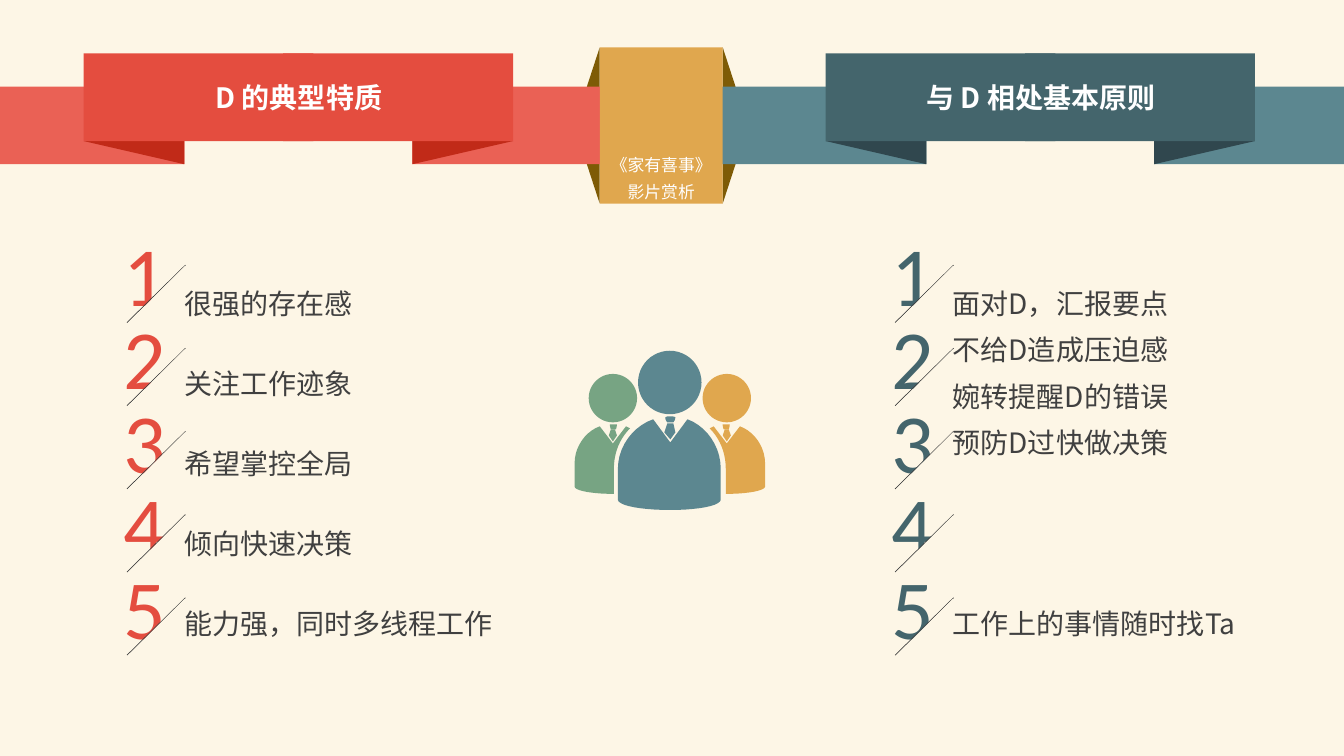
"""Build a slide on the traits of type D and how to work with them."""
from dataclasses import dataclass

from lxml import etree
from pptx import Presentation
from pptx.dml.color import RGBColor
from pptx.enum.shapes import MSO_CONNECTOR, MSO_SHAPE
from pptx.enum.text import MSO_ANCHOR, MSO_AUTO_SIZE, PP_ALIGN
from pptx.oxml.ns import qn
from pptx.util import Inches, Pt

RECT = MSO_SHAPE.RECTANGLE
FOLD = MSO_SHAPE.RIGHT_TRIANGLE
OVAL = MSO_SHAPE.OVAL
STRAIGHT = MSO_CONNECTOR.STRAIGHT
TOP = MSO_ANCHOR.TOP
NO_FIT = MSO_AUTO_SIZE.NONE
LEFT, CENTER = PP_ALIGN.LEFT, PP_ALIGN.CENTER

COLORS = {
    "cream": "FDF6E6", "gold": "E0A74E", "brown": "7E5B06",
    "red": "E44D3F", "coral": "EA6155", "crimson": "C12A18",
    "slate": "44656C", "teal": "5C8790", "navy": "30474E",
    "green": "77A483", "ink": "404040", "white": "FFFFFF",
}
CJK, LATIN = "Noto Sans CJK SC", "Calibri"
CELL = Inches(0.1)
COLUMNS, ROWS = 133.33, 75
COMPARISON_LAYOUT = 4
NUMBER_PITCH, ITEM_PITCH = 8.25, 7.93
LIST_TOP, LIST_LINE = 27.9, 24
ITEM_PITCH_POINTS = ITEM_PITCH * 7.2
MIRROR = 132.9
CURVE_STEPS = 10

Outline = list[tuple[float, ...]]


@dataclass(frozen=True)
class Area:
    left: float
    top: float
    width: float
    height: float

    def emu(self) -> list[int]:
        return [round(n * CELL) for n in (self.left, self.top, self.width, self.height)]


@dataclass(frozen=True)
class TextStyle:
    size: float
    color: str
    line: float | None = None
    font: str = CJK
    bold: bool = False
    align: PP_ALIGN = LEFT
    gap: float = 0


@dataclass(frozen=True)
class Ribbon:
    left: float
    band_start: float
    band_end: float
    front: str
    band: str
    fold: str


@dataclass(frozen=True)
class Figure:
    head: Area
    coat: Outline
    knot: Outline
    tie: Outline


RIBBONS = [Ribbon(8.3, 0, 61.9, "red", "coral", "crimson"),
           Ribbon(81.9, 70.9, COLUMNS, "slate", "teal", "navy")]
NUMBER_COLUMNS = [(11.3, "red"), (87.5, "slate")]
TRAITS = ["很强的存在感", "关注工作迹象", "希望掌控全局", "倾向快速决策", "能力强，同时多线程工作"]
PRINCIPLES = ["面对D，汇报要点", "不给D造成压迫感", "婉转提醒D的错误", "预防D过快做决策"]
LAST_PRINCIPLE = ["工作上的事情随时找Ta"]

LEADER = Figure(
    Area(63.3, 34.8, 6.3, 6.3),
    [(68.2, 41.6), (66.5, 43.9), (64.8, 41.6), (62.8, 42.3, 61.3, 44.3, 61.3, 46.5),
     (61.3, 49.6), (61.4, 50.2, 63.7, 50.6, 66.5, 50.6),
     (69.2, 50.6, 71.4, 50.2, 71.5, 49.6), (71.5, 46.5),
     (71.5, 44.3, 70.1, 42.3, 68.2, 41.6)],
    [(67, 41.4), (66.8, 41.3, 66.6, 41.3, 66.5, 41.3), (66.3, 41.3, 66.2, 41.3, 66, 41.4),
     (66, 41.4, 66, 41.7, 66.2, 41.9), (66.8, 41.9), (66.8, 41.9, 67, 41.7, 67, 41.4)],
    [(66.2, 42), (66.8, 42), (67, 42.9), (66.5, 43.6), (65.9, 42.9)])
COLLEAGUE = Figure(
    Area(58.4, 37.1, 4.8, 4.8),
    [(62.1, 42.3), (60.8, 44), (59.5, 42.3), (58.1, 42.8, 57, 44.3, 57, 46), (57, 48.3),
     (57.1, 48.7, 58.8, 49, 60.8, 49), (60.9, 49), (60.9, 46.5),
     (60.9, 44.9, 61.5, 43.5, 62.5, 42.5)],
    [(61.1, 42.6), (61.1, 42.6, 61.2, 42.4, 61.2, 42.1), (60.5, 42.1),
     (60.5, 42.1, 60.5, 42.3, 60.6, 42.6)],
    [(60.8, 43.8), (61.2, 43.2), (61, 42.6), (60.6, 42.6), (60.4, 43.2)])


def rgb(name: str) -> RGBColor:
    return RGBColor.from_string(COLORS[name])


def paint(shape, color: str) -> None:
    shape.shadow.inherit = False
    shape.fill.solid()
    shape.fill.fore_color.rgb = rgb(color)
    shape.line.fill.background()


def add_block(page, kind, area: Area, color: str, flips: str = ""):
    shape = page.shapes.add_shape(kind, *area.emu())
    paint(shape, color)
    for axis in flips:
        shape._element.spPr.xfrm.set(f"flip{axis}", "1")
    return shape


def write(box, lines: list[str], style: TextStyle, wrap: bool = True) -> None:
    frame = box.text_frame
    frame.word_wrap, frame.auto_size, frame.vertical_anchor = wrap, NO_FIT, TOP
    frame.margin_left = frame.margin_right = Inches(0.1)
    frame.margin_top = frame.margin_bottom = Inches(0.05)
    for index, line in enumerate(lines):
        para = frame.add_paragraph() if index else frame.paragraphs[0]
        props = para._p.get_or_add_pPr()
        props.set("marL", "0")
        props.set("indent", "0")
        etree.SubElement(props, qn("a:buNone"))
        para.alignment = style.align
        para.space_before, para.space_after = Pt(style.gap if index else 0), Pt(0)
        if style.line:
            para.line_spacing = Pt(style.line)
        span = para.add_run()
        span.text = line
        span.font.size, span.font.bold = Pt(style.size), style.bold
        span.font.color.rgb = rgb(style.color)
        span.font.name = style.font
        etree.SubElement(span._r.get_or_add_rPr(), qn("a:ea")).set("typeface", style.font)


def fill_placeholder(page, index: int, area: Area, lines: list[str], style: TextStyle) -> None:
    box = page.placeholders[index]
    box.left, box.top, box.width, box.height = area.emu()
    page.shapes._spTree.append(box._element)
    write(box, lines, style)


def draw_ribbon(page, ribbon: Ribbon) -> None:
    right = ribbon.left + 42.6
    inner, outer = ribbon.left + 10, right - 10
    sides = [(ribbon.band_start, inner, ribbon.left, ribbon.left, "HV"),
             (outer, ribbon.band_end, outer, right - 22.8, "V")]
    for start, end, fold, front, flips in sides:
        add_block(page, RECT, Area(start, 8.6, end - start, 7.7), ribbon.band)
        add_block(page, FOLD, Area(fold, 14, 10, 2.3), ribbon.fold, flips)
        add_block(page, RECT, Area(front, 5.3, 22.8, 8.7), ribbon.front)


def draw_number(page, left: float, color: str, number: int) -> None:
    top = 21.6 + (number - 1) * NUMBER_PITCH
    box = page.shapes.add_textbox(*Area(left, top, 6.2, 11.1).emu())
    write(box, [str(number)], TextStyle(60, color, font=LATIN), wrap=False)
    ends = [round(n * CELL) for n in (left + 7.1, top + 4.7, left + 1.3, top + 10.4)]
    slash = page.shapes.add_connector(STRAIGHT, *ends)
    slash.line.color.rgb, slash.line.width = rgb("ink"), Pt(0.5)
    etree.SubElement(slash._element.spPr, qn("a:effectLst"))
    mask = add_block(page, RECT, Area(left + 3.9, top + 4.5, 2.3, 8), "cream")
    mask.line.color.rgb, mask.line.width = rgb("cream"), Pt(1)
    mask.rotation = 45


def flatten(outline: Outline) -> Outline:
    points = [outline[0]]
    for step in outline[1:]:
        if len(step) == 2:
            points.append(step)
            continue
        a, b, c, d = points[-1], step[:2], step[2:4], step[4:]
        for t in (n / CURVE_STEPS for n in range(1, CURVE_STEPS + 1)):
            s = 1 - t
            points.append(tuple(s**3 * a[k] + 3 * s * s * t * b[k] + 3 * s * t * t * c[k]
                                + t**3 * d[k] for k in (0, 1)))
    return points


def draw_figure(page, figure: Figure, color: str, mirrored: bool = False) -> None:
    head = figure.head
    left = MIRROR - head.left - head.width if mirrored else head.left
    add_block(page, OVAL, Area(left, head.top, head.width, head.height), color)
    for outline in (figure.coat, figure.knot, figure.tie):
        points = [(round((MIRROR - x if mirrored else x) * CELL), round(y * CELL))
                  for x, y in flatten(outline)]
        builder = page.shapes.build_freeform(*points[0])
        builder.add_line_segments(points[1:], close=True)
        paint(builder.convert_to_shape(), color)


def main() -> None:
    deck = Presentation()
    deck.slide_width, deck.slide_height = round(COLUMNS * CELL), ROWS * CELL
    page = deck.slides.add_slide(deck.slide_layouts[COMPARISON_LAYOUT])
    page.background.fill.solid()
    page.background.fill.fore_color.rgb = rgb("cream")

    for left, flip in ((58.1, "H"), (71.7, "")):
        add_block(page, FOLD, Area(left, 4.7, 1.4, 4.3), "brown", flip)
        add_block(page, FOLD, Area(left, 15.9, 1.4, 4.3), "brown", flip + "V")
    for ribbon in RIBBONS:
        draw_ribbon(page, ribbon)
    add_block(page, RECT, Area(59.5, 4.7, 12.2, 15.5), "gold")
    for left, color in NUMBER_COLUMNS:
        for number in range(1, 6):
            draw_number(page, left, color, number)

    heading = TextStyle(20, "white", LIST_LINE, bold=True, align=CENTER)
    fill_placeholder(page, 0, Area(8.3, 7.5, 42.7, 4.4), ["D 的典型特质"], heading)
    fill_placeholder(page, 1, Area(81.9, 7.5, 42.7, 4.4), ["与 D 相处基本原则"], heading)
    single = TextStyle(20, "ink", LIST_LINE, gap=ITEM_PITCH_POINTS - LIST_LINE)
    double = TextStyle(20, "ink", LIST_LINE, gap=ITEM_PITCH_POINTS - 2 * LIST_LINE)
    last_top = LIST_TOP + 4 * ITEM_PITCH
    fill_placeholder(page, 2, Area(17.3, LIST_TOP, 35, 37), TRAITS, single)
    fill_placeholder(page, 3, Area(93.5, LIST_TOP, 23.8, 31.5), PRINCIPLES, double)
    fill_placeholder(page, 4, Area(93.5, last_top, 30.1, 7.7), LAST_PRINCIPLE, double)
    label = page.shapes.add_textbox(*Area(52.7, 14.3, 25.8, 6.3).emu())
    write(label, ["《家有喜事》", "影片赏析"], TextStyle(12, "white", 18.7, align=CENTER))

    draw_figure(page, LEADER, "teal")
    draw_figure(page, COLLEAGUE, "green")
    draw_figure(page, COLLEAGUE, "gold", mirrored=True)
    deck.save("out.pptx")


if __name__ == "__main__":
    main()
